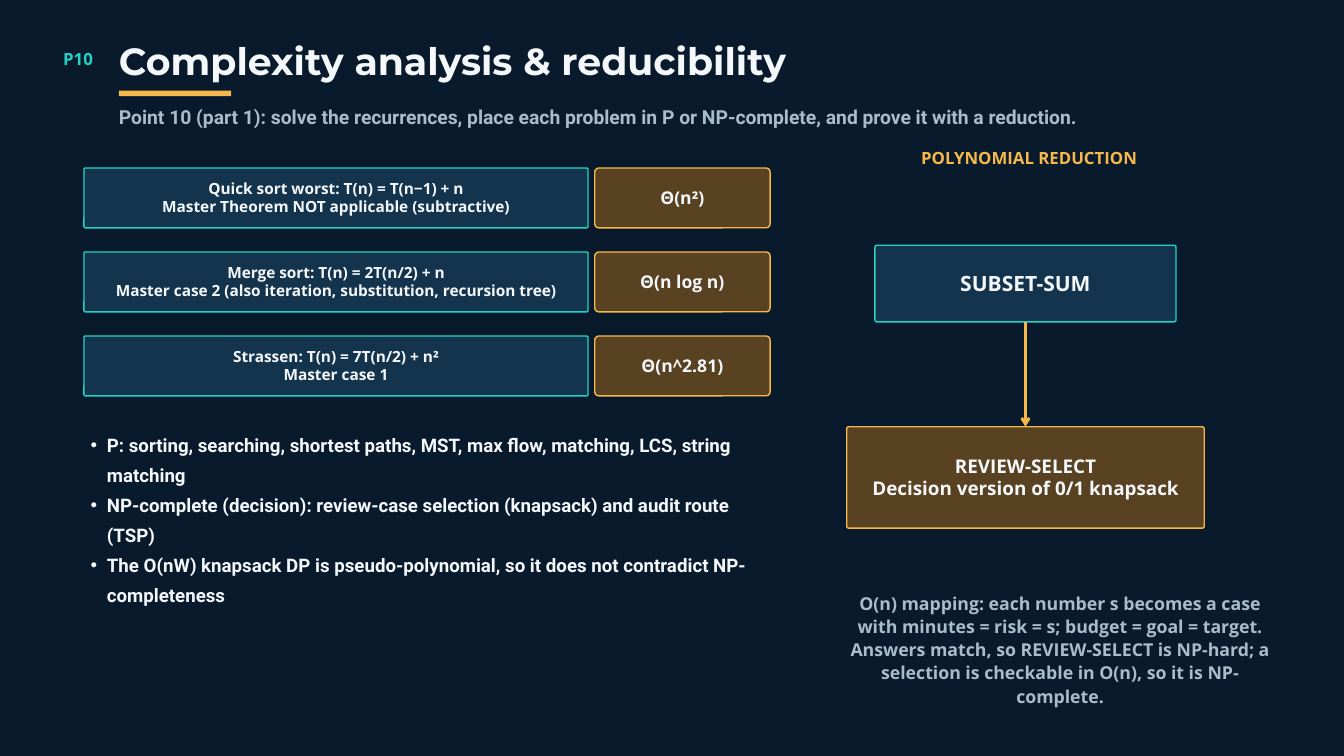
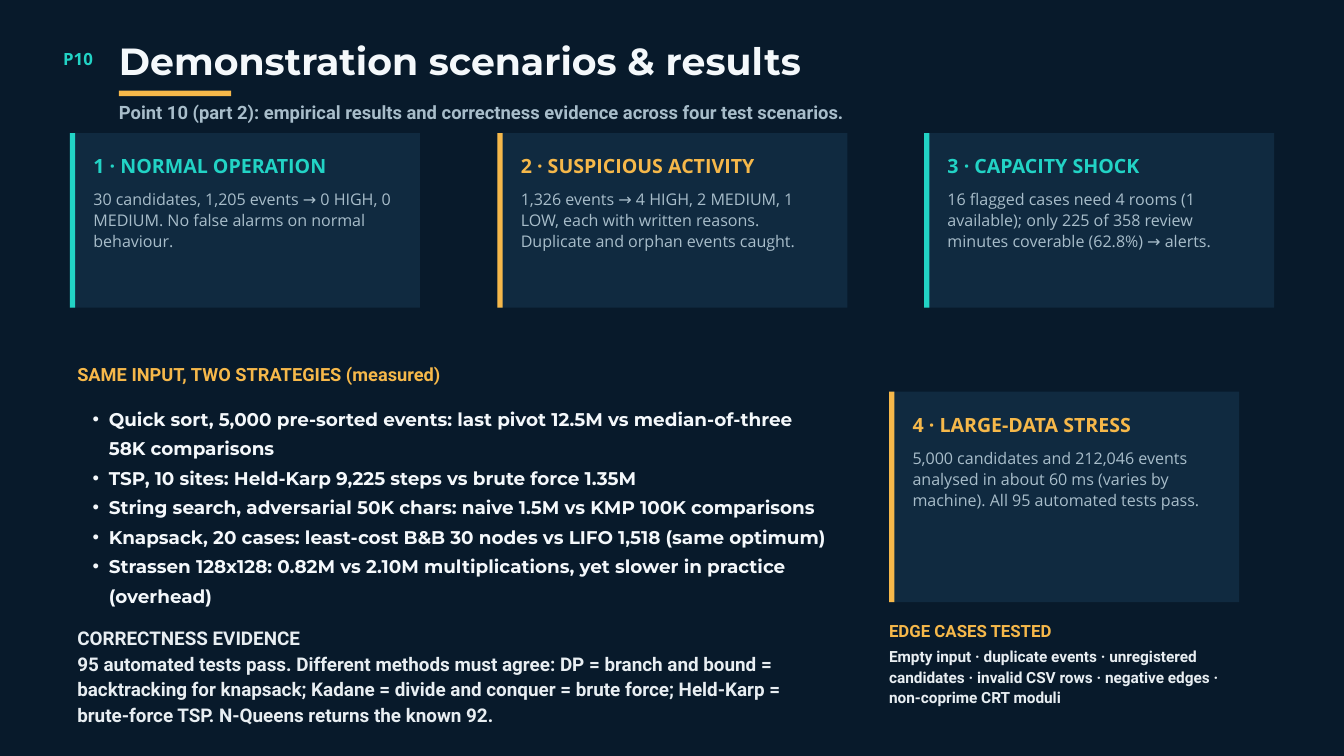
from lxml.etree import SubElement
from pptx import Presentation
from pptx.dml.color import RGBColor
from pptx.enum.shapes import MSO_CONNECTOR, MSO_SHAPE
from pptx.enum.text import MSO_ANCHOR, PP_ALIGN
from pptx.oxml.ns import qn
from pptx.util import Inches, Pt

COLORS = {
    "background": "081A2B",
    "card": "102A40",
    "panel": "14344D",
    "brown": "584221",
    "teal": "22D3C5",
    "amber": "F6B84A",
    "white": "F4F8FB",
    "pale": "E8EEF2",
    "muted": "A8BDCA",
}
HEADING, BODY, LABEL = "Montserrat", "Roboto", "Open Sans"


def add_box(slide, frame, fill, line=None, radius=0):
    kind = MSO_SHAPE.ROUNDED_RECTANGLE if radius else MSO_SHAPE.RECTANGLE
    shape = slide.shapes.add_shape(kind, *[Inches(value) for value in frame])
    shape.shadow.inherit = False
    shape.fill.solid()
    shape.fill.fore_color.rgb = RGBColor.from_string(COLORS[fill])
    if radius:
        shape.adjustments[0] = radius / frame[3]
    if line:
        shape.line.color.rgb = RGBColor.from_string(COLORS[line])
        shape.line.width = Pt(1.5)
    else:
        shape.line.fill.background()
    return shape


def add_text(slide, frame, lines, size, spacing, font, color, bold=True,
             centered=False, bulleted=False, shape=None):
    """Write lines into the given shape, or into a new text box at frame."""
    margin = Inches(0.06 if shape else 0)
    if shape is None:
        shape = slide.shapes.add_textbox(*[Inches(value) for value in frame])
    text_frame = shape.text_frame
    text_frame.word_wrap = True
    text_frame.margin_left = text_frame.margin_right = margin
    text_frame.margin_top = text_frame.margin_bottom = margin
    text_frame.vertical_anchor = MSO_ANCHOR.MIDDLE if margin else MSO_ANCHOR.TOP
    text_frame.text = "\n".join(lines)
    for paragraph in text_frame.paragraphs:
        paragraph.alignment = PP_ALIGN.CENTER if centered else PP_ALIGN.LEFT
        paragraph.line_spacing = Pt(spacing)
        if bulleted:
            paragraph.level = 1
            properties = paragraph._p.get_or_add_pPr()
            properties.set("marL", str(Inches(0.47)))
            properties.set("indent", str(Inches(-0.24)))
            SubElement(properties, qn("a:buFont"), typeface="Arial")
            SubElement(properties, qn("a:buChar"), char="•")
        for run in paragraph.runs:
            run.font.name = font
            run.font.size = Pt(size)
            run.font.bold = bold
            run.font.color.rgb = RGBColor.from_string(COLORS[color])


presentation = Presentation()
presentation.slide_width = Inches(20)
presentation.slide_height = Inches(11.25)

# Shared header: background, point tag, title, underline, subtitle
headers = [
    ("Complexity analysis & reducibility",
     "Point 10 (part 1): solve the recurrences, place each problem in P or "
     "NP-complete, and prove it with a reduction.", 1.57, 20.7, 24.9),
    ("Demonstration scenarios & results",
     "Point 10 (part 2): empirical results and correctness evidence across "
     "four test scenarios.", 1.5, 19.7, 23.7),
]
for title, subtitle, top, size, spacing in headers:
    slide = presentation.slides.add_slide(presentation.slide_layouts[6])
    slide.background.fill.solid()
    slide.background.fill.fore_color.rgb = RGBColor.from_string(COLORS["background"])
    add_text(slide, (0.94, 0.7, 0.73, 0.31), ["P10"], 18, 23.4, LABEL, "teal")
    add_text(slide, (1.77, 0.64, 16.67, 0.59), [title], 40.5, 42.5, HEADING, "white")
    add_box(slide, (1.77, 1.35, 1.67, 0.08), "amber")
    add_text(slide, (1.77, top, 16.67, 0.35), [subtitle], size, spacing, BODY, "muted")

complexity, scenarios = presentation.slides

# Recurrences and their solutions
recurrences = [
    (["Quick sort worst: T(n) = T(n−1) + n",
      "Master Theorem NOT applicable (subtractive)"], "Θ(n²)"),
    (["Merge sort: T(n) = 2T(n/2) + n",
      "Master case 2 (also iteration, substitution, recursion tree)"], "Θ(n log n)"),
    (["Strassen: T(n) = 7T(n/2) + n²", "Master case 1"], "Θ(n^2.81)"),
]
for row, (recurrence, bound) in enumerate(recurrences):
    top = 2.5 + 1.25 * row
    recurrence_box = add_box(complexity, (1.25, top, 7.5, 0.89), "panel", "teal", 0.02)
    add_text(complexity, None, recurrence, 16.5, 19, LABEL, "white",
             centered=True, shape=recurrence_box)
    bound_box = add_box(complexity, (8.85, top, 2.61, 0.89), "brown", "amber", 0.06)
    add_text(complexity, None, [bound], 18.8, 21.6, LABEL, "white",
             centered=True, shape=bound_box)

# Problem classes
add_text(complexity, (1.12, 6.35, 10.21, 2.6), [
    "P: sorting, searching, shortest paths, MST, max flow, matching, LCS, string matching",
    "NP-complete (decision): review-case selection (knapsack) and audit route (TSP)",
    "The O(nW) knapsack DP is pseudo-polynomial, so it does not contradict NP-completeness",
], 20, 32, BODY, "white", bulleted=True)

# Polynomial reduction
add_text(complexity, (12.71, 2.18, 5.21, 0.31), ["POLYNOMIAL REDUCTION"],
         18, 23.4, LABEL, "amber", centered=True)
subset_sum = add_box(complexity, (13.02, 3.65, 4.48, 1.14), "panel", "teal", 0.03)
add_text(complexity, None, ["SUBSET-SUM"], 22.5, 25.9, LABEL, "white",
         centered=True, shape=subset_sum)
arrow = complexity.shapes.add_connector(
    MSO_CONNECTOR.STRAIGHT, Inches(15.26), Inches(4.79), Inches(15.26), Inches(6.35))
arrow.line.color.rgb = RGBColor.from_string(COLORS["amber"])
arrow.line.width = Pt(3)
SubElement(arrow.line._get_or_add_ln(), qn("a:tailEnd"), type="arrow")
SubElement(arrow._element.spPr, qn("a:effectLst"))
review_select = add_box(complexity, (12.6, 6.35, 5.32, 1.51), "brown", "amber", 0.03)
add_text(complexity, None, ["REVIEW-SELECT", "Decision version of 0/1 knapsack"],
         20.2, 23.3, LABEL, "white", centered=True, shape=review_select)
add_text(complexity, (12.6, 8.8, 6.35, 1.66), [
    "O(n) mapping: each number s becomes a case with minutes = risk = s; "
    "budget = goal = target. Answers match, so REVIEW-SELECT is NP-hard; "
    "a selection is checkable in O(n), so it is NP-complete."
], 19, 24.7, LABEL, "muted", centered=True)

# Scenario cards
cards = [
    (1.04, 1.98, 2.6, "teal", "1 · NORMAL OPERATION",
     "30 candidates, 1,205 events → 0 HIGH, 0 MEDIUM. No false alarms on normal behaviour."),
    (7.4, 1.98, 2.6, "amber", "2 · SUSPICIOUS ACTIVITY",
     "1,326 events → 4 HIGH, 2 MEDIUM, 1 LOW, each with written reasons. "
     "Duplicate and orphan events caught."),
    (13.75, 1.98, 2.6, "teal", "3 · CAPACITY SHOCK",
     "16 flagged cases need 4 rooms (1 available); only 225 of 358 review minutes "
     "coverable (62.8%) → alerts."),
    (13.23, 5.83, 3.13, "amber", "4 · LARGE-DATA STRESS",
     "5,000 candidates and 212,046 events analysed in about 60 ms (varies by machine). "
     "All 95 automated tests pass."),
]
for left, top, height, accent, name, result in cards:
    add_box(scenarios, (left, top, 5.21, height), "card")
    add_box(scenarios, (left, top, 0.08, height), accent)
    add_text(scenarios, (left + 0.35, top + 0.28, 4.54, 0.36), [name],
             21, 27.3, LABEL, accent)
    add_text(scenarios, (left + 0.35, top + 0.82, 4.54, 0.89), [result],
             17.2, 22.4, LABEL, "muted", bold=False)

# Measured strategies
add_text(scenarios, (1.15, 5.35, 11.25, 0.38), ["SAME INPUT, TWO STRATEGIES (measured)"],
         19.5, 27.3, BODY, "amber")
add_text(scenarios, (1.15, 5.96, 11.25, 3.04), [
    "Quick sort, 5,000 pre-sorted events: last pivot 12.5M vs median-of-three 58K comparisons",
    "TSP, 10 sites: Held-Karp 9,225 steps vs brute force 1.35M",
    "String search, adversarial 50K chars: naive 1.5M vs KMP 100K comparisons",
    "Knapsack, 20 cases: least-cost B&B 30 nodes vs LIFO 1,518 (same optimum)",
    "Strassen 128x128: 0.82M vs 2.10M multiplications, yet slower in practice (overhead)",
], 19.7, 31.6, HEADING, "white", bulleted=True)

# Correctness evidence and edge cases
add_text(scenarios, (1.15, 9.29, 11.25, 1.5), [
    "CORRECTNESS EVIDENCE",
    "95 automated tests pass. Different methods must agree: DP = branch and bound = "
    "backtracking for knapsack; Kadane = divide and conquer = brute force; Held-Karp = "
    "brute-force TSP. N-Queens returns the known 92.",
], 20.2, 27.3, BODY, "pale")
add_text(scenarios, (13.23, 9.21, 5.21, 0.34), ["EDGE CASES TESTED"],
         18, 23.4, BODY, "amber")
add_text(scenarios, (13.23, 9.59, 5.21, 0.92), [
    "Empty input · duplicate events · unregistered candidates · invalid CSV rows · "
    "negative edges · non-coprime CRT moduli"
], 16.5, 22.3, BODY, "pale")

presentation.save("out.pptx")
